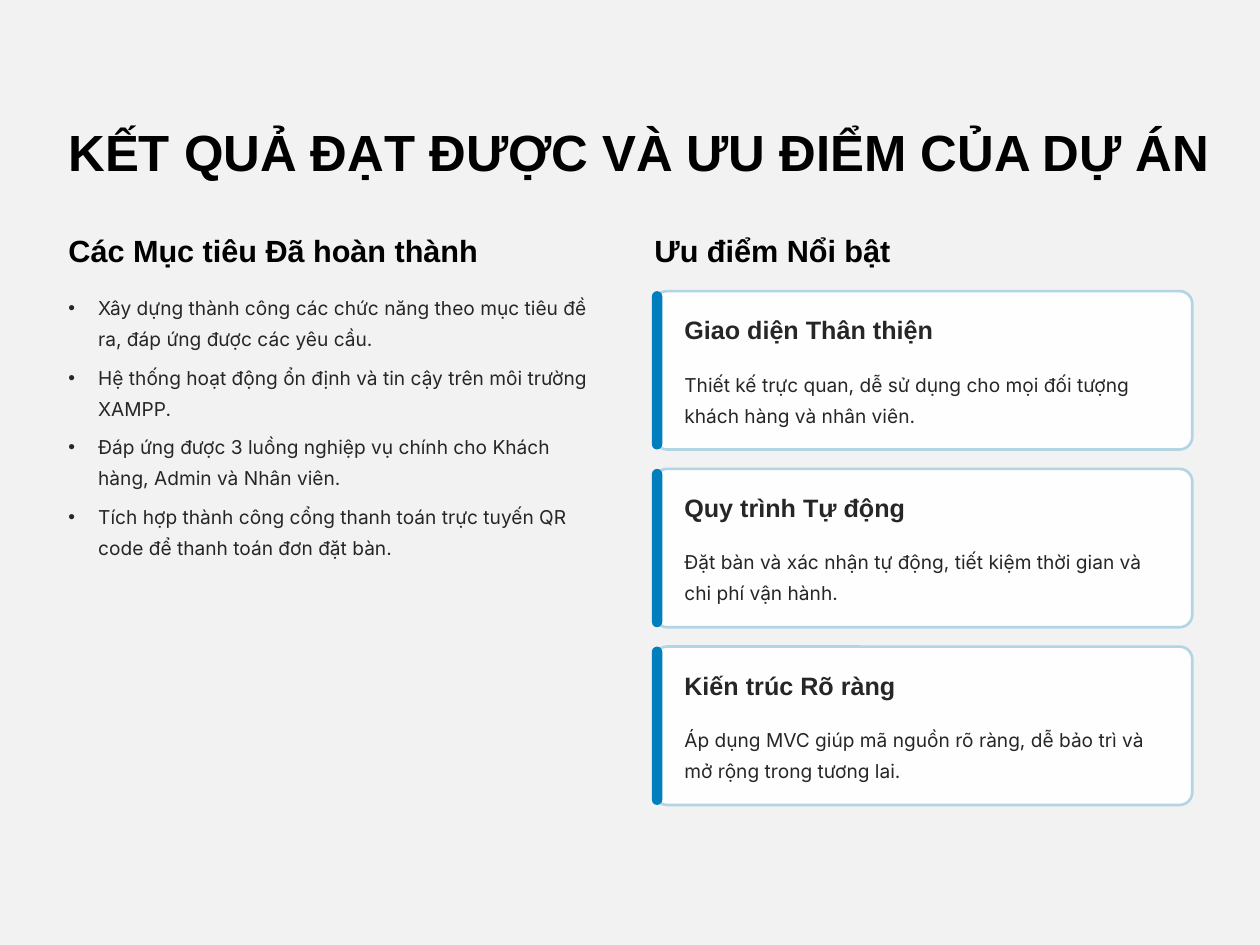
from dataclasses import dataclass

from lxml.etree import SubElement
from pptx import Presentation
from pptx.dml.color import RGBColor
from pptx.enum.shapes import MSO_SHAPE
from pptx.enum.text import MSO_ANCHOR, MSO_AUTO_SIZE, PP_ALIGN
from pptx.oxml.ns import qn
from pptx.util import Pt


@dataclass(frozen=True)
class TextStyle:
    face: str
    size: float
    leading: float
    color: RGBColor
    bold: bool


@dataclass(frozen=True)
class Theme:
    background = RGBColor(0xF2, 0xF2, 0xF2)
    card = RGBColor(0xFE, 0xFE, 0xFE)
    border = RGBColor(0xB2, 0xD4, 0xE5)
    accent = RGBColor(0x00, 0x7E, 0xBD)
    black = RGBColor(0, 0, 0)
    ink = RGBColor(0x27, 0x25, 0x25)
    title = TextStyle("Arial", 46.5, 58.5, black, True)
    section = TextStyle("Arial", 28, 35, black, True)
    card_heading = TextStyle("Arial", 23, 29, ink, True)
    body = TextStyle("Inter", 17.5, 28.5, ink, False)


@dataclass(frozen=True)
class Box:
    left: float
    top: float
    width: float
    height: float

    def lengths(self):
        return [Pt(value) for value in (self.left, self.top, self.width, self.height)]


THEME = Theme()
TITLE = "KẾT QUẢ ĐẠT ĐƯỢC VÀ ƯU ĐIỂM CỦA DỰ ÁN"
GOALS_HEADING = "Các Mục tiêu Đã hoàn thành"
GOALS = [
    "Xây dựng thành công các chức năng theo mục tiêu đề ra, đáp ứng được các yêu cầu.",
    "Hệ thống hoạt động ổn định và tin cậy trên môi trường XAMPP.",
    "Đáp ứng được 3 luồng nghiệp vụ chính cho Khách hàng, Admin và Nhân viên.",
    "Tích hợp thành công cổng thanh toán trực tuyến QR code để thanh toán đơn đặt bàn.",
]
STRENGTHS_HEADING = "Ưu điểm Nổi bật"
STRENGTHS = [
    ("Giao diện Thân thiện",
     "Thiết kế trực quan, dễ sử dụng cho mọi đối tượng khách hàng và nhân viên."),
    ("Quy trình Tự động",
     "Đặt bàn và xác nhận tự động, tiết kiệm thời gian và chi phí vận hành."),
    ("Kiến trúc Rõ ràng",
     "Áp dụng MVC giúp mã nguồn rõ ràng, dễ bảo trì và mở rộng trong tương lai."),
]


def set_values(target, values):
    for name, value in values.items():
        setattr(target, name, value)


def add_bullet(paragraph):
    properties = paragraph._p.get_or_add_pPr()
    properties.set("marL", str(Pt(27.2)))
    properties.set("indent", str(Pt(-27.2)))
    SubElement(properties, qn("a:buFont")).set("typeface", "Arial")
    SubElement(properties, qn("a:buChar")).set("char", "•")


def fill_text(frame, lines, style, wrap, bulleted=False):
    set_values(frame, {
        "margin_left": 0, "margin_top": 0, "margin_right": 0, "margin_bottom": 0,
        "word_wrap": wrap, "auto_size": MSO_AUTO_SIZE.NONE,
        "vertical_anchor": MSO_ANCHOR.TOP,
    })
    for index, line in enumerate(lines):
        paragraph = frame.add_paragraph() if index else frame.paragraphs[0]
        if bulleted:
            add_bullet(paragraph)
        set_values(paragraph, {"alignment": PP_ALIGN.LEFT, "line_spacing": Pt(style.leading)})
        if index:
            paragraph.space_before = Pt(6.5)
        run = paragraph.add_run()
        run.text = line
        set_values(run.font, {"name": style.face, "size": Pt(style.size), "bold": style.bold})
        run.font.color.rgb = style.color


def add_text(shapes, box, lines, style, wrap=False, bulleted=False):
    label = shapes.add_textbox(*box.lengths())
    fill_text(label.text_frame, lines, style, wrap, bulleted)


def add_rounded(shapes, box, color, rounding):
    panel = shapes.add_shape(MSO_SHAPE.ROUNDED_RECTANGLE, *box.lengths())
    panel.adjustments[0] = rounding
    panel.shadow.inherit = False
    panel.fill.solid()
    panel.fill.fore_color.rgb = color
    panel.line.fill.background()
    return panel


def place_title(slide, box):
    title = slide.shapes.title
    set_values(title, dict(zip(("left", "top", "width", "height"), box.lengths())))
    fill_text(title.text_frame, [TITLE], THEME.title, False)


def build_goals(shapes, box):
    add_text(shapes, Box(box.left, box.top, 363, 35), [GOALS_HEADING], THEME.section)
    goals_box = Box(box.left, box.top + 52.8, box.width, box.height - 52.8)
    add_text(shapes, goals_box, GOALS, THEME.body, wrap=True, bulleted=True)


def build_card(shapes, box, heading, detail):
    card = shapes.add_group_shape().shapes
    panel = add_rounded(card, box, THEME.card, 0.08)
    panel.line.color.rgb = THEME.border
    panel.line.width = Pt(2.4)
    add_rounded(card, Box(box.left - 2.3, box.top, 9.5, box.height), THEME.accent, 0.5)
    text_left = box.left + 27.4
    add_text(card, Box(text_left, box.top + 20.2, 235, 29.5), [heading], THEME.card_heading)
    add_text(card, Box(text_left, box.top + 67.2, box.width - 47.4, 57),
             [detail], THEME.body, wrap=True)


def build_strengths(shapes, box):
    add_text(shapes, Box(box.left, box.top, 281.5, 35), [STRENGTHS_HEADING], THEME.section)
    first_top = box.top + 55.2
    gap = 17.7
    count = len(STRENGTHS)
    height = (box.top + box.height - first_top - gap * (count - 1)) / count
    for index, (heading, detail) in enumerate(STRENGTHS):
        card_box = Box(box.left, first_top + index * (height + gap), box.width, height)
        build_card(shapes, card_box, heading, detail)


def main():
    deck = Presentation()
    set_values(deck, {"slide_width": Pt(1152), "slide_height": Pt(864)})
    slide = deck.slides.add_slide(deck.slide_layouts[5])
    slide.background.fill.solid()
    slide.background.fill.fore_color.rgb = THEME.background
    place_title(slide, Box(62.6, 107.3, 1060, 58.5))
    build_goals(slide.shapes, Box(62.6, 211, 491.8, 300.6))
    build_strengths(slide.shapes, Box(598.3, 211, 491.8, 525))
    deck.save("out.pptx")


if __name__ == "__main__":
    main()
